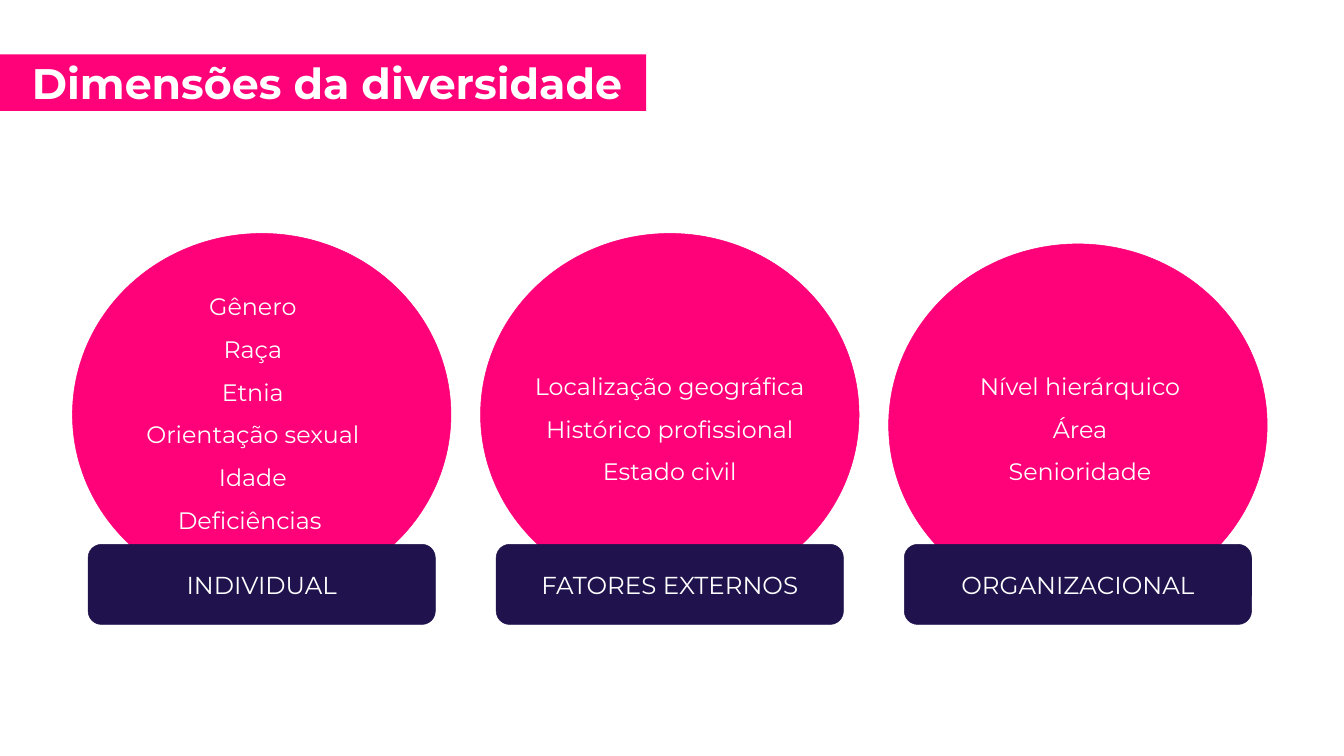
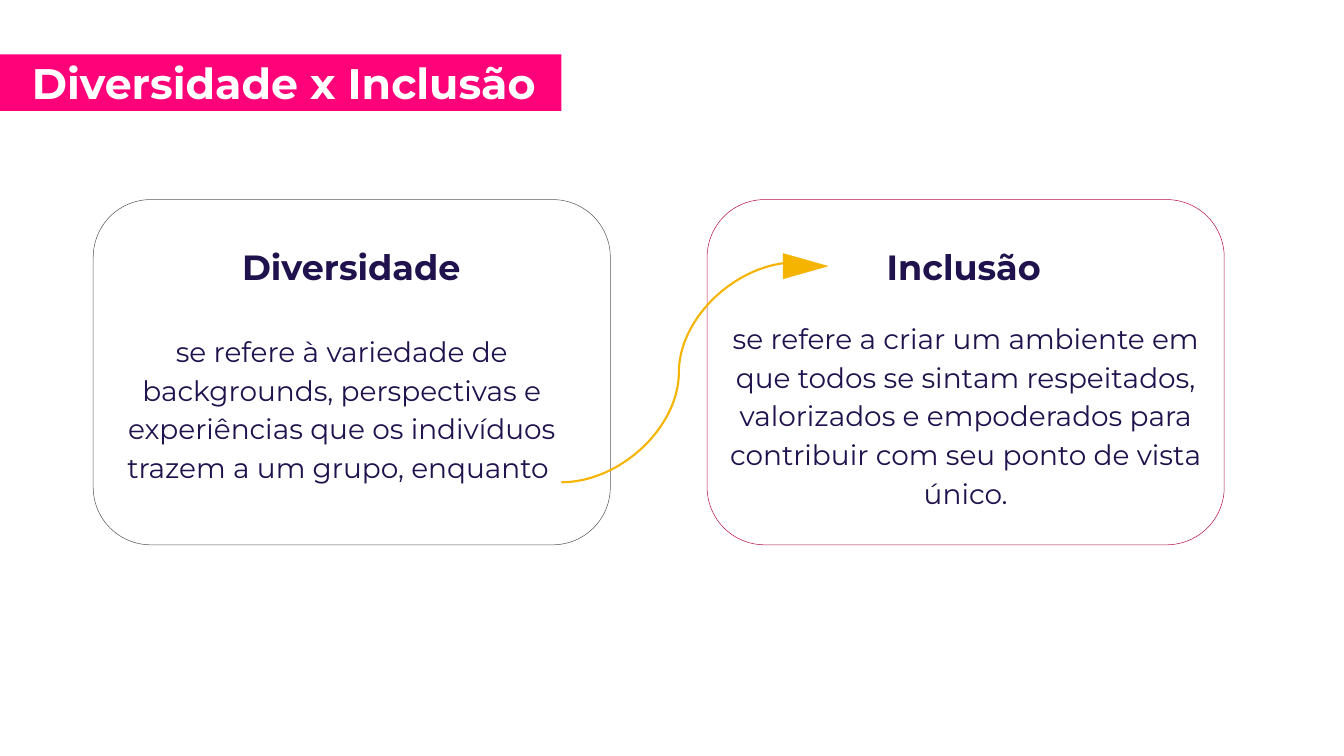
import pptx
import pptx.dml.color
import pptx.enum.shapes
import pptx.enum.text
import pptx.oxml.ns
import pptx.util
from lxml import etree

Pt = pptx.util.Pt
Shape = pptx.enum.shapes.MSO_SHAPE
Anchor = pptx.enum.text.MSO_ANCHOR
Align = pptx.enum.text.PP_ALIGN

FONT = "Montserrat"
PINK, NAVY, WHITE, GOLD = "FF0178", "20124D", "FFFFFF", "F4B400"

DIMENSIONS_TITLE = ("Dimensões da diversidade", 923)
DIMENSIONS = [
    {
        "label": "INDIVIDUAL",
        "factors": ["Gênero", "Raça", "Etnia", "Orientação sexual", "Idade", "Deficiências "],
        "circle_top": 333.5,
        "list_box": (72.7, 389, 541, 365),
        "margin": 36,
    },
    {
        "label": "FATORES EXTERNOS",
        "factors": ["Localização geográfica", "Histórico profissional", "Estado civil"],
        "circle_top": 333.5,
        "list_box": (683.3, 503, 547, 241),
        "margin": 0,
    },
    {
        "label": "ORGANIZACIONAL",
        "factors": ["Nível hierárquico", "Área", "Senioridade"],
        "circle_top": 348.5,
        "list_box": (1269.4, 503, 547, 241),
        "margin": 0,
    },
]

CONCEPTS_TITLE = ("Diversidade x Inclusão", 802)
CONCEPTS = [
    {
        "heading": "Diversidade",
        "definition": "se refere à variedade de backgrounds, perspectivas e experiências "
                      "que os indivíduos trazem a um grupo, enquanto ",
        "outline": "53585F",
        "card_left": 133.2,
        "heading_box": (68.4, 314.6, 867, 131.8),
        "definition_box": (107.3, 465.1, 761.8, 300),
    },
    {
        "heading": "Inclusão",
        "definition": "se refere a criar um ambiente em que todos se sintam respeitados, "
                      "valorizados e empoderados para contribuir com seu ponto de vista único.",
        "outline": "B61249",
        "card_left": 1010.2,
        "heading_box": (930.2, 314.6, 893.5, 131.8),
        "definition_box": (998.6, 446.4, 761.8, 300),
    },
]


def rgb(value):
    return pptx.dml.color.RGBColor.from_string(value)


def write(holder, lines, size, color, inset, bold=False, align=Align.CENTER,
          anchor=Anchor.TOP, spacing=1.0, margin=0, indent=0):
    frame = holder.text_frame
    frame.word_wrap = True
    frame.auto_size = pptx.enum.text.MSO_AUTO_SIZE.NONE
    frame.vertical_anchor = anchor
    frame.margin_left = frame.margin_right = Pt(inset)
    frame.margin_top = frame.margin_bottom = Pt(inset)
    for index, line in enumerate(lines):
        paragraph = frame.add_paragraph() if index else frame.paragraphs[0]
        paragraph.alignment = align
        paragraph.line_spacing = spacing
        properties = paragraph._p.get_or_add_pPr()
        properties.set("marL", str(Pt(margin)))
        properties.set("indent", str(Pt(indent)))
        run = paragraph.add_run()
        run.text = line
        run.font.name = FONT
        run.font.size = Pt(size)
        run.font.bold = bold
        run.font.color.rgb = rgb(color)


def add_block(slide, kind, box, fill, outline=None):
    block = slide.shapes.add_shape(kind, *map(Pt, box))
    block.shadow.inherit = False
    block.fill.solid()
    block.fill.fore_color.rgb = rgb(fill)
    block.line.color.rgb = rgb(outline or fill)
    block.line.width = Pt(0.75)
    return block


def add_text(slide, box, lines, size, color, inset, **style):
    write(slide.shapes.add_textbox(*map(Pt, box)), lines, size, color, inset, **style)


def add_titled_slide(deck, heading, band_width):
    slide = deck.slides.add_slide(deck.slide_layouts[5])
    slide.background.fill.solid()
    slide.background.fill.fore_color.rgb = rgb(WHITE)
    title = slide.shapes.title
    title.left, title.top, title.width, title.height = map(Pt, (0, 77.8, band_width, 80.6))
    title.fill.solid()
    title.fill.fore_color.rgb = rgb(PINK)
    write(title, [heading], 61, WHITE, 9.4, bold=True, align=Align.LEFT,
          anchor=Anchor.MIDDLE, indent=36)
    return slide


def build_dimensions(deck):
    slide = add_titled_slide(deck, *DIMENSIONS_TITLE)
    first_left, pitch = 103.5, 583
    for column, dimension in enumerate(DIMENSIONS):
        left = first_left + column * pitch
        add_block(slide, Shape.OVAL, (left, dimension["circle_top"], 540.7, 517.7), PINK)
        add_text(slide, dimension["list_box"], dimension["factors"], 34, WHITE, 7.2,
                 spacing=1.5, margin=dimension["margin"])
        label = add_block(slide, Shape.ROUNDED_RECTANGLE,
                          (left + 22.4, 777.6, 496, 114.5), NAVY)
        write(label, [dimension["label"]], 35, WHITE, 7.2, anchor=Anchor.MIDDLE)


def build_concepts(deck):
    slide = add_titled_slide(deck, *CONCEPTS_TITLE)
    for concept in CONCEPTS:
        add_block(slide, Shape.ROUNDED_RECTANGLE, (concept["card_left"], 285.1, 738.7, 493.2),
                  WHITE, concept["outline"])
        add_text(slide, concept["heading_box"], [concept["heading"]], 50, NAVY, 5.8,
                 bold=True, anchor=Anchor.MIDDLE)
        add_text(slide, concept["definition_box"], [concept["definition"]], 40, NAVY, 5.8,
                 spacing=1.15)
    curve = slide.shapes.add_connector(pptx.enum.shapes.MSO_CONNECTOR.CURVE,
                                       Pt(802), Pt(689), Pt(1137.6), Pt(374.8))
    curve.line.color.rgb = rgb(GOLD)
    curve.line.width = Pt(3)
    etree.SubElement(curve._element.spPr, pptx.oxml.ns.qn("a:effectLst"))
    arrowhead = add_block(slide, Shape.FLOWCHART_EXTRACT, (1132.6, 348.5, 36, 63.4), GOLD)
    arrowhead.rotation = 90


def main():
    deck = pptx.Presentation()
    deck.slide_width, deck.slide_height = Pt(1920), Pt(1080)
    build_dimensions(deck)
    build_concepts(deck)
    deck.save("out.pptx")


if __name__ == "__main__":
    main()
